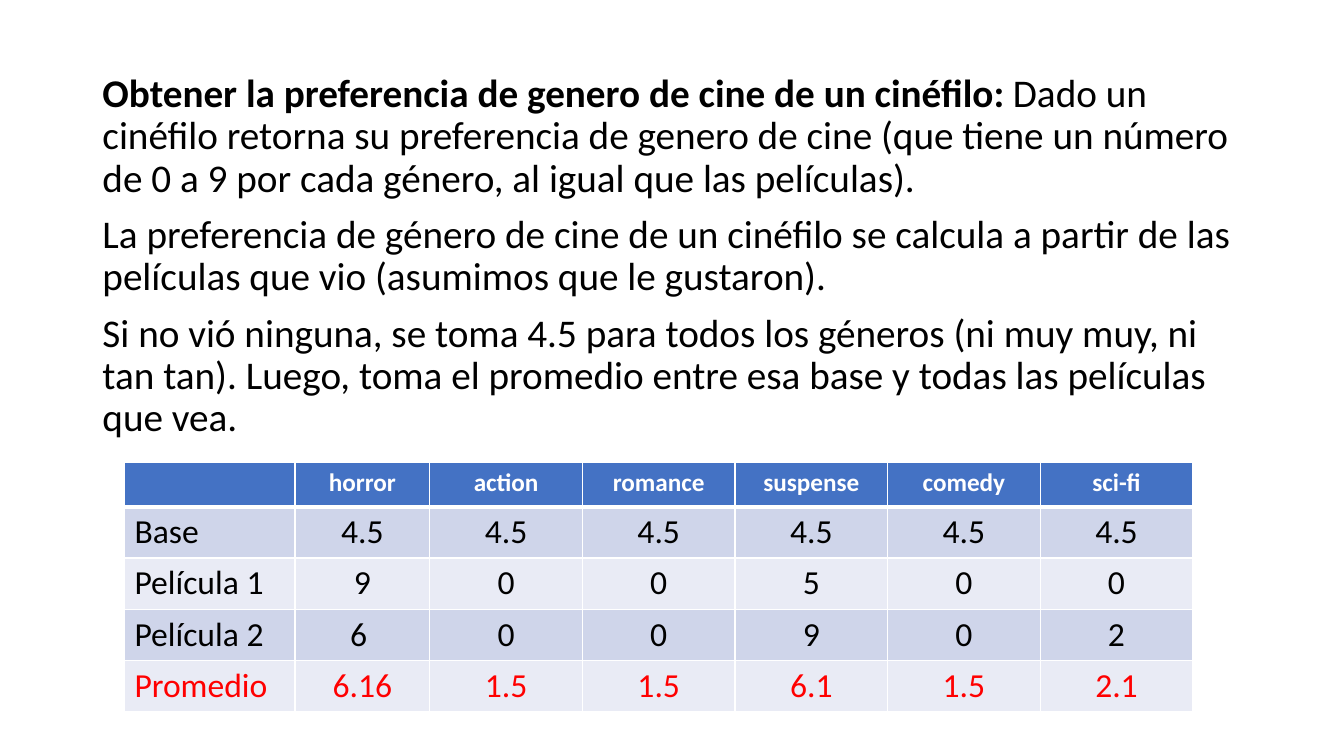
from lxml import etree
from pptx import Presentation
from pptx.dml.color import RGBColor
from pptx.enum.text import MSO_ANCHOR, MSO_AUTO_SIZE, PP_ALIGN
from pptx.oxml.ns import qn
from pptx.util import Pt

TOP = MSO_ANCHOR.TOP
NO_FIT = MSO_AUTO_SIZE.NONE
LEFT, CENTER = PP_ALIGN.LEFT, PP_ALIGN.CENTER

BLACK, WHITE, RED = "000000", "FFFFFF", "FF0000"
HEADER_BLUE = "4472C4"
BANDS = ("CFD5EA", "E9EBF5")

EXPLANATION = [
    [("Obtener la preferencia de genero de cine de un cinéfilo:", True),
     (" Dado un cinéfilo retorna su preferencia de genero de cine (que tiene un "
      "número de 0 a 9 por cada género, al igual que las películas).", False)],
    [("La preferencia de género de cine de un cinéfilo se calcula a partir de las "
      "películas que vio (asumimos que le gustaron).", False)],
    [("Si no vió ninguna, se toma 4.5 para todos los géneros (ni muy muy, ni tan "
      "tan). Luego, toma el promedio entre esa base y todas las películas que vea.",
      False)],
]

RATINGS = [
    ["", "horror", "action", "romance", "suspense", "comedy", "sci-fi"],
    ["Base"] + ["4.5"] * 6,
    ["Película 1", "9", "0", "0", "5", "0", "0"],
    ["Película 2", "6 ", "0", "0", "9", "0", "2"],
    ["Promedio", "6.16", "1.5", "1.5", "6.1", "1.5", "2.1"],
]


def rgb(hex_color):
    return RGBColor.from_string(hex_color)


class SlideWriter:
    font = "Calibri"

    def __init__(self, slide):
        self.slide = slide

    def run(self, paragraph, text, size, color, bold=False):
        run = paragraph.add_run()
        run.text = text
        run.font.name = self.font
        run.font.size = Pt(size)
        run.font.bold = bold
        run.font.color.rgb = rgb(color)

    def body(self, paragraphs, left, top, width, height):
        body = self.slide.placeholders[1]
        body.left, body.top = Pt(left), Pt(top)
        body.width, body.height = Pt(width), Pt(height)
        frame = body.text_frame
        frame.word_wrap = True
        frame.auto_size = NO_FIT
        frame.vertical_anchor = TOP
        for index, runs in enumerate(paragraphs):
            paragraph = frame.add_paragraph() if index else frame.paragraphs[0]
            paragraph.alignment = LEFT
            paragraph.line_spacing = 0.9
            paragraph.space_before = Pt(10 if index else 0)
            properties = paragraph._p.get_or_add_pPr()
            properties.set("marL", "0")
            properties.set("indent", "0")
            etree.SubElement(properties, qn("a:buNone"))
            for text, bold in runs:
                self.run(paragraph, text, 28, BLACK, bold)

    def border(self, cell, side, width):
        line = etree.SubElement(cell._tc.get_or_add_tcPr(), qn(f"a:ln{side}"),
                                w=str(Pt(width)))
        fill = etree.SubElement(line, qn("a:solidFill"))
        etree.SubElement(fill, qn("a:srgbClr"), val=WHITE)

    def cell(self, cell, text, row, column, last_row):
        header = row == 0
        widths = {"L": 1, "R": 1, "T": 3 if row == 1 else 1, "B": 3 if header else 1}
        for side, width in widths.items():
            self.border(cell, side, width)
        cell.fill.solid()
        cell.fill.fore_color.rgb = rgb(HEADER_BLUE if header else BANDS[(row - 1) % 2])
        if not text:
            return
        paragraph = cell.text_frame.paragraphs[0]
        paragraph.alignment = CENTER if column else LEFT
        color = WHITE if header else RED if row == last_row else BLACK
        self.run(paragraph, text, 18 if header else 24, color, header)

    def table(self, rows, left, top, column_widths, row_heights):
        table = self.slide.shapes.add_table(
            len(rows), len(column_widths), Pt(left), Pt(top),
            Pt(sum(column_widths)), Pt(sum(row_heights))).table
        for column, width in zip(table.columns, column_widths):
            column.width = Pt(width)
        for row, height in zip(table.rows, row_heights):
            row.height = Pt(height)
        for r, values in enumerate(rows):
            for c, value in enumerate(values):
                self.cell(table.cell(r, c), value, r, c, len(rows) - 1)


def main():
    presentation = Presentation()
    presentation.slide_width, presentation.slide_height = Pt(960), Pt(540)
    slide = presentation.slides.add_slide(presentation.slide_layouts[1])
    title = slide.shapes.title._element
    title.getparent().remove(title)

    writer = SlideWriter(slide)
    writer.body(EXPLANATION, 66, 49, 828, 437)
    writer.table(RATINGS, 88.9, 330.2, [121.8, 96.4] + [109] * 5, [31.9] + [36] * 4)
    presentation.save("out.pptx")


if __name__ == "__main__":
    main()
